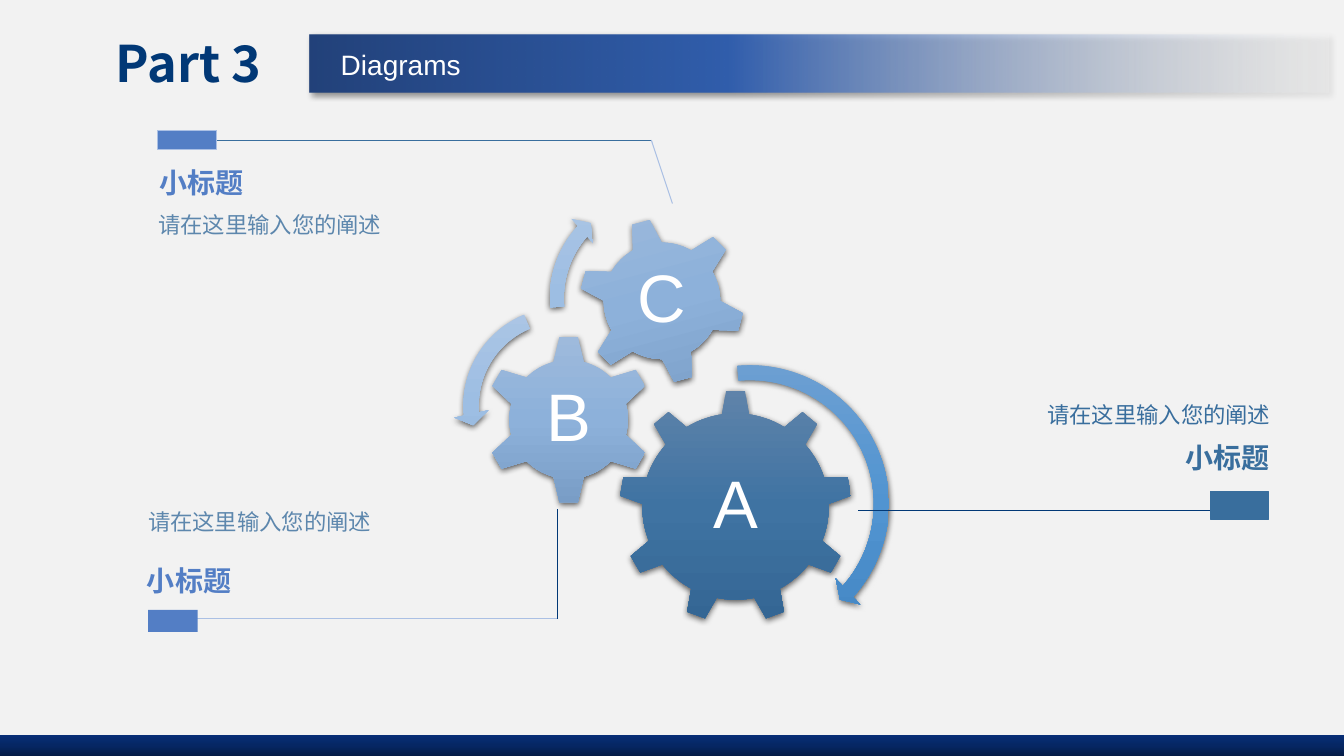
from lxml import etree
from pptx import Presentation
from pptx.dml.color import RGBColor
from pptx.enum.shapes import MSO_CONNECTOR, MSO_SHAPE
from pptx.enum.text import MSO_ANCHOR, PP_ALIGN
from pptx.oxml.ns import qn
from pptx.util import Inches, Pt

RECT, GEAR6, GEAR9 = MSO_SHAPE.RECTANGLE, MSO_SHAPE.GEAR_6, MSO_SHAPE.GEAR_9
TURN, BACK = MSO_SHAPE.CIRCULAR_ARROW, MSO_SHAPE.LEFT_CIRCULAR_ARROW
STRAIGHT = MSO_CONNECTOR.STRAIGHT
TOP, MIDDLE = MSO_ANCHOR.TOP, MSO_ANCHOR.MIDDLE
LEFT, CENTER, RIGHT = PP_ALIGN.LEFT, PP_ALIGN.CENTER, PP_ALIGN.RIGHT

PAPER = RGBColor(0xF2, 0xF2, 0xF2)
WHITE = RGBColor(0xFF, 0xFF, 0xFF)
NAVY = RGBColor(0x01, 0x38, 0x76)
STEEL = RGBColor(0x39, 0x6E, 0x9D)
SLATE = RGBColor(0x5D, 0x87, 0xAD)
BLUE = RGBColor(0x53, 0x7E, 0xC5)
PALE = RGBColor(0xAB, 0xC0, 0xE4)


def ramp(*codes):
    return [(i * 50, RGBColor.from_string(code), 100) for i, code in enumerate(codes)]


BAND = [(0, RGBColor(0x23, 0x42, 0x7A), 100), (41, RGBColor(0x31, 0x5E, 0xAD), 100),
        (100, WHITE, 16)]
FOOT = ramp("072E76", "062764", "041B46")
DARK = ramp("5F83AA", "3F73A2", "346694")
LIGHT = ramp("9EBADC", "8DB1DA", "799DC6")
SWEEP = ramp("6EA0D2", "5194D1", "4184C1")
SOFT = ramp("ADC6E5", "9DBEE3", "88A8CE")

GLOW = (63, 4.5, 1.5, 90)
HEAD, BODY = "小标题", "请在这里输入您的阐述"


class Deck:
    """Draws styled elements on a grid of tenth-inch columns and rows."""

    unit = Inches(0.1)
    sans, song = "Arial", "Noto Sans CJK SC"

    def __init__(self, cols, rows):
        self.prs = Presentation()
        self.prs.slide_width, self.prs.slide_height = self.grid(cols, rows)
        self.slide = self.prs.slides.add_slide(self.prs.slide_layouts[5])
        fill = self.slide.background.fill
        fill.solid()
        fill.fore_color.rgb = PAPER

    def grid(self, *cells):
        return [round(cell * self.unit) for cell in cells]

    def shape(self, kind, area, color, edge=None):
        shape = self.slide.shapes.add_shape(kind, *self.grid(*area))
        shape.shadow.inherit = False
        shape.fill.solid()
        shape.fill.fore_color.rgb = color
        if edge is None:
            shape.line.fill.background()
        else:
            shape.line.color.rgb = edge
            shape.line.width = 0
        return shape

    def blend(self, kind, area, stops, angle=90, shade=None, turn=0, bends=()):
        shape = self.shape(kind, area, WHITE)
        shape.rotation = turn
        for i, bend in enumerate(bends):
            shape.adjustments[i] = bend
        props = shape.element.spPr
        grad = etree.Element(qn("a:gradFill"), rotWithShape="1")
        steps = etree.SubElement(grad, qn("a:gsLst"))
        for pos, color, alpha in stops:
            stop = etree.SubElement(steps, qn("a:gs"), pos=str(pos * 1000))
            self.tint(stop, color, alpha)
        etree.SubElement(grad, qn("a:lin"), ang=str(angle * 60000), scaled="0")
        props.replace(props.find(qn("a:solidFill")), grad)
        if shade:
            alpha, blur, dist, way = shade
            cast = etree.SubElement(
                props.find(qn("a:effectLst")), qn("a:outerShdw"), blurRad=str(Pt(blur)),
                dist=str(Pt(dist)), dir=str(way * 60000), rotWithShape="0")
            self.tint(cast, RGBColor(0, 0, 0), alpha)

    def tint(self, parent, color, alpha):
        node = etree.SubElement(parent, qn("a:srgbClr"), val=str(color))
        etree.SubElement(node, qn("a:alpha"), val=str(alpha * 1000))

    def line(self, start, end, color):
        line = self.slide.shapes.add_connector(STRAIGHT, *self.grid(*start, *end))
        line.line.color.rgb = color
        line.line.width = Pt(0.75)
        etree.SubElement(line.element.spPr, qn("a:effectLst"))

    def title(self, area, text, **style):
        self.letter(self.slide.shapes.title, area, text, **style)

    def text(self, area, text, **style):
        box = self.slide.shapes.add_textbox(*self.grid(*area))
        self.letter(box, area, text, **style)

    def letter(self, box, area, text, size, color, font=song, bold=False,
               align=LEFT, anchor=MIDDLE, pad=1):
        box.left, box.top, box.width, box.height = self.grid(*area)
        frame = box.text_frame
        frame.text = text
        frame.word_wrap = True
        frame.vertical_anchor = anchor
        frame.margin_left = frame.margin_right = self.grid(pad)[0]
        para = frame.paragraphs[0]
        para.alignment = align
        para.line_spacing = 0.9
        para.space_before = Pt(0)
        run = para.runs[0]
        run.font.size, run.font.bold, run.font.name = Pt(size), bold, font
        run.font.color.rgb = color
        etree.SubElement(run.font._element, qn("a:ea"), typeface=font)

    def gear(self, kind, area, stops, text, turn=0):
        self.blend(kind, area, stops, shade=GLOW, turn=turn)
        self.text(area, text, size=48, color=WHITE, font=self.sans, align=CENTER)

    def note(self, head, body, color, shade, align=LEFT):
        self.text(head, HEAD, size=20, color=color, bold=True, align=align)
        self.text(body, BODY, size=16, color=shade, align=align, anchor=TOP)

    def save(self):
        self.prs.save("out.pptx")


def main():
    deck = Deck(133.3, 75)
    deck.blend(RECT, (30.7, 3.4, 101.1, 5.8), BAND, angle=0, shade=(40, 4, 3, 45))
    deck.blend(RECT, (0, 72.9, 133.3, 2.1), FOOT)
    deck.title((11.5, 3.7, 20.7, 5.8), "Part 3", size=36, color=NAVY, bold=True, pad=0)
    deck.text((33.8, 4.4, 55.4, 4.4), "Diagrams", size=20, color=WHITE,
              font=deck.sans, pad=0)

    deck.gear(GEAR9, (61.4, 38.7, 23.1, 23.1), DARK, "A")
    deck.gear(GEAR6, (48, 33.2, 16.8, 16.8), LIGHT, "B")
    deck.gear(GEAR6, (57.4, 21.6, 16.5, 16.5), LIGHT, "C", turn=345)
    for kind, area, stops, bends in (
        (TURN, (59.6, 35.2, 29.6, 29.6), SWEEP, (0.05, 2.99, 25.07, 158.8, 0.06)),
        (BACK, (45, 29.5, 21.5, 21.5), SOFT, (0.07, 4.3, 104.89, 148.38, 0.08)),
        (TURN, (53.6, 18, 23.2, 23.2), SOFT, (0.06, 3.94, 133.14, 105.08, 0.07)),
    ):
        deck.blend(kind, area, stops, shade=GLOW, bends=bends)

    for start, end, color in (
        ((18.5, 13.9), (64.6, 13.9), STEEL),
        ((66.7, 20.2), (64.6, 13.9), PALE),
        ((17.1, 61.4), (55.3, 61.4), PALE),
        ((55.3, 50.5), (55.3, 61.4), NAVY),
        ((122.9, 50.6), (85.1, 50.6), NAVY),
    ):
        deck.line(start, end, color)
    for area, color, edge in (
        ((15.6, 12.9, 5.9, 1.9), BLUE, PALE),
        ((14.7, 60.5, 4.9, 2.2), BLUE, None),
        ((120.1, 48.8, 5.7, 2.7), STEEL, STEEL),
    ):
        deck.shape(RECT, area, color, edge)

    deck.note((14.8, 16.3, 34.7, 3.9), (14.7, 20.8, 34.7, 4.3), BLUE, SLATE)
    deck.note((13.6, 55.7, 28.7, 4.1), (13.7, 50.2, 28.7, 3.9), BLUE, SLATE)
    deck.note((112.3, 43.6, 14.6, 4), (92.3, 39.6, 34.7, 4), STEEL, STEEL, RIGHT)
    deck.save()


if __name__ == "__main__":
    main()
